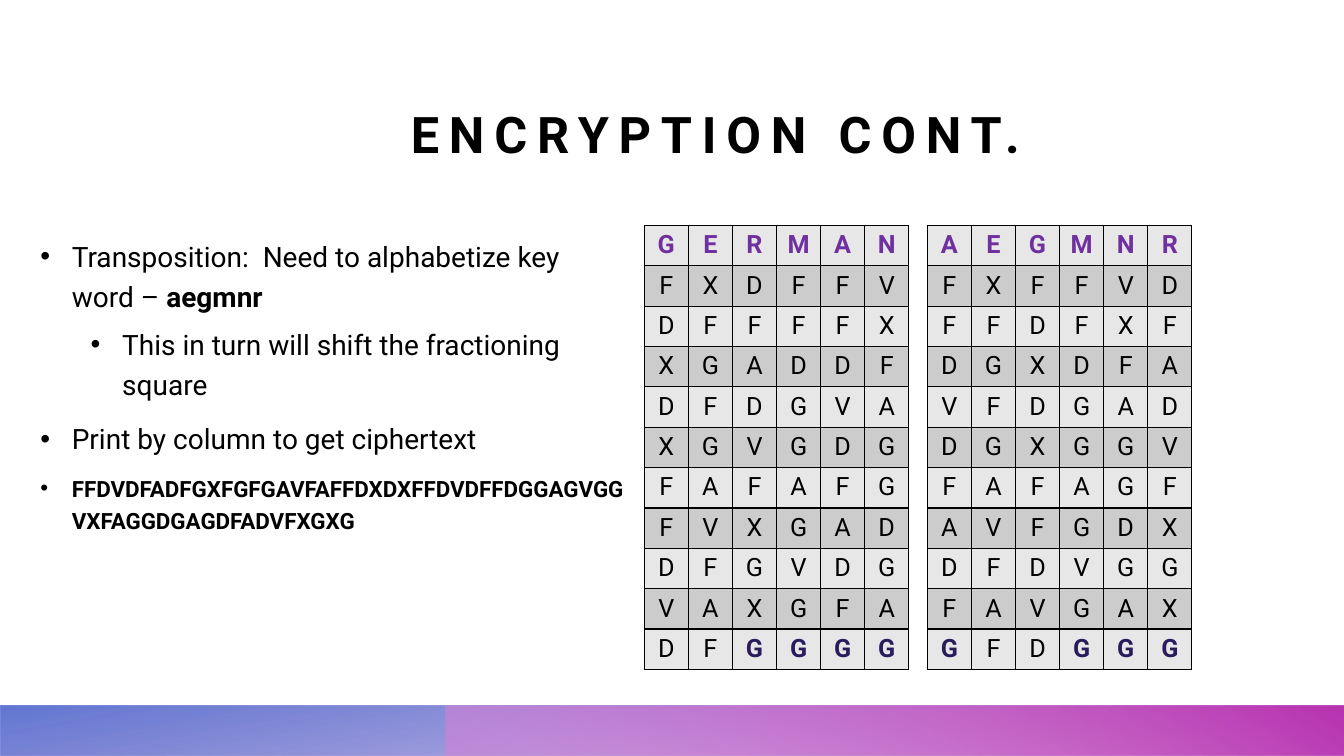
from lxml.etree import SubElement
from pptx import Presentation
from pptx.dml.color import RGBColor
from pptx.enum.shapes import MSO_SHAPE as Shape
from pptx.enum.text import MSO_ANCHOR as Anchor, PP_ALIGN as Align
from pptx.oxml import parse_xml
from pptx.oxml.ns import nsdecls, qn
from pptx.util import Pt

FONT = "Roboto"
BLACK, PURPLE, NAVY = "000000", "7030A0", "2A1C5C"
ROW_FILLS = ["E7E7E7", "CCCCCC"]
PAGE_WIDTH, PAGE_HEIGHT, BAND_HEIGHT = 960, 540, 36
COLUMN_WIDTH, ROW_HEIGHT = 31.5, 28.38

KEYWORD = "GERMAN"
FRACTION_ROWS = ["FXDFFV", "DFFFFX", "XGADDF", "DFDGVA", "XGVGDG",
                 "FAFAFG", "FVXGAD", "DFGVDG", "VAXGFA", "DFGGGG"]
CIPHERTEXT = "FFDVDFADFGXFGFGAVFAFFDXDXFFDVDFFDGGAGVGGVXFAGGDGAGDFADVFXGXG"


def color(value):
    return RGBColor.from_string(value)


def format_span(span, size, bold=False, ink=BLACK):
    span.font.name = FONT
    span.font.size = Pt(size)
    span.font.bold = bold
    span.font.color.rgb = color(ink)


def clear_margins(frame):
    frame.word_wrap = True
    frame.margin_left = frame.margin_right = 0
    frame.margin_top = frame.margin_bottom = 0


def add_band(page, left, stops, angle, rotation=0):
    """Add a footer band; stops are (percent, colour, opacity percent)."""
    band = page.shapes.add_shape(
        Shape.RECTANGLE, Pt(left), Pt(PAGE_HEIGHT - BAND_HEIGHT),
        Pt(PAGE_WIDTH - left), Pt(BAND_HEIGHT))
    band.shadow.inherit = False
    band.line.fill.background()
    band.rotation = rotation
    properties = band._element.spPr
    properties.find(qn("a:xfrm")).set("flipH", "1")
    stop_xml = "".join(
        f'<a:gs pos="{place * 1000}"><a:srgbClr val="{ink}">'
        f'<a:alpha val="{opacity * 1000}"/></a:srgbClr></a:gs>'
        for place, ink, opacity in stops)
    gradient = parse_xml(
        f'<a:gradFill {nsdecls("a")} rotWithShape="1"><a:gsLst>{stop_xml}</a:gsLst>'
        f'<a:lin ang="{angle * 60000}" scaled="0"/></a:gradFill>')
    properties.find(qn("a:prstGeom")).addnext(gradient)


def set_title(page, text):
    title = page.shapes.title
    title.left, title.top = Pt(108), Pt(62.6)
    title.width, title.height = Pt(806.4), Pt(54)
    frame = title.text_frame
    frame.text = text
    clear_margins(frame)
    frame.vertical_anchor = Anchor.BOTTOM
    para = frame.paragraphs[0]
    para.alignment = Align.CENTER
    format_span(para.runs[0], 36, bold=True)
    para.runs[0].font._element.set("spc", "700")


def add_bullet(para, spans, indent=22.5, space=10, size=20):
    """Fill a bulleted paragraph with (text, bold) spans."""
    para.line_spacing = 1.2
    para.space_before = Pt(space)
    properties = para._p.get_or_add_pPr()
    properties.set("marL", str(Pt(indent)))
    properties.set("indent", str(-Pt(22.5)))
    SubElement(properties, qn("a:buFont")).set("typeface", "Arial")
    SubElement(properties, qn("a:buChar")).set("char", "•")
    for text, bold in spans:
        span = para.add_run()
        span.text = text
        format_span(span, size, bold)


def add_notes_list(page):
    box = page.shapes.add_textbox(Pt(28.8), Pt(166.3), Pt(418.3), Pt(311.8))
    frame = box.text_frame
    clear_margins(frame)
    add_bullet(frame.paragraphs[0],
               [("Transposition:  Need to alphabetize key word – ", False), ("aegmnr", True)])
    add_bullet(frame.add_paragraph(),
               [("This in turn will shift the fractioning square", False)], indent=58.5, space=5)
    add_bullet(frame.add_paragraph(), [("Print by column to get ciphertext", False)])
    add_bullet(frame.add_paragraph(), [(CIPHERTEXT, True)], size=16)


def add_borders(cell):
    properties = cell._tc.get_or_add_tcPr()
    for index, side in enumerate(("lnL", "lnR", "lnT", "lnB")):
        properties.insert(index, parse_xml(
            f'<a:{side} {nsdecls("a")} w="{Pt(1)}"><a:solidFill>'
            f'<a:srgbClr val="{BLACK}"/></a:solidFill></a:{side}>'))


def add_letter_grid(page, left, rows):
    """Add a letter table; its top row is the key, G in its last row is padding."""
    row_count, column_count = len(rows), len(rows[0])
    grid = page.shapes.add_table(
        row_count, column_count, Pt(left), Pt(161),
        Pt(COLUMN_WIDTH * column_count), Pt(ROW_HEIGHT * row_count)).table
    grid.first_row = grid.horz_banding = False
    for column in grid.columns:
        column.width = Pt(COLUMN_WIDTH)
    for r, letters in enumerate(rows):
        grid.rows[r].height = Pt(ROW_HEIGHT)
        for c, letter in enumerate(letters):
            ink = BLACK
            if r == 0:
                ink = PURPLE
            elif r == row_count - 1 and letter == "G":
                ink = NAVY
            cell = grid.cell(r, c)
            cell.fill.solid()
            cell.fill.fore_color.rgb = color(ROW_FILLS[r % 2])
            add_borders(cell)
            para = cell.text_frame.paragraphs[0]
            para.text = letter
            para.alignment = Align.CENTER
            format_span(para.runs[0], 18, bold=ink != BLACK, ink=ink)


def main():
    deck = Presentation()
    deck.slide_width, deck.slide_height = Pt(PAGE_WIDTH), Pt(PAGE_HEIGHT)
    page = deck.slides.add_slide(deck.slide_layouts[5])

    # Footer bands
    add_band(page, 0, [(14, "5438B9", 28), (100, "4660CA", 85)], angle=100, rotation=180)
    add_band(page, 318, [(9, "DB7FD6", 55), (99, "B834B1", 100)], angle=240)

    # Title and notes
    set_title(page, "ENCRYPTION CONT.")
    add_notes_list(page)

    # Fractioning square, then the same columns in alphabetical key order
    square = [KEYWORD] + FRACTION_ROWS
    add_letter_grid(page, 460.2, square)
    order = sorted(range(len(KEYWORD)), key=lambda c: KEYWORD[c])
    add_letter_grid(page, 662.4, [[row[c] for c in order] for row in square])

    deck.save("out.pptx")


if __name__ == "__main__":
    main()
